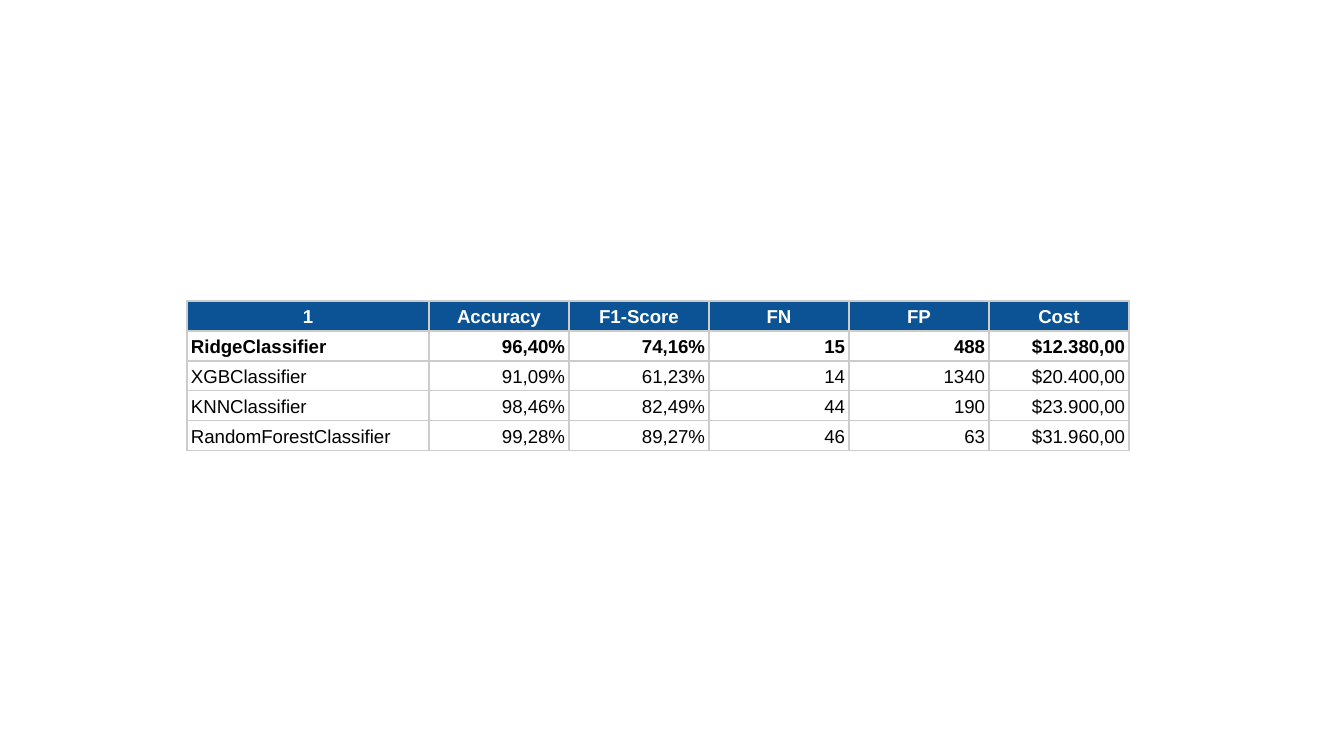
"""Build a slide with a table comparing classifier scores and costs."""
from dataclasses import dataclass

from lxml.etree import SubElement
from pptx import Presentation
from pptx.dml.color import RGBColor
from pptx.enum.text import MSO_ANCHOR, PP_ALIGN
from pptx.oxml.ns import qn
from pptx.table import Table, _Cell
from pptx.util import Emu, Pt

SCALE = 6804
FONT = "Arial"
WHITE = RGBColor(0xFF, 0xFF, 0xFF)
BLACK = RGBColor(0x00, 0x00, 0x00)
BLUE = RGBColor(0x0B, 0x53, 0x94)
GRAY = RGBColor(0xCC, 0xCC, 0xCC)

TABLE_LEFT, TABLE_TOP = 187, 301
NAME_WIDTH, SCORE_WIDTH, ROW_HEIGHT = 242, 140, 29
INSET_X, INSET_Y = 4, 3
HEADINGS = ("1", "Accuracy", "F1-Score", "FN", "FP", "Cost")


@dataclass(frozen=True)
class Model:
    """Scores of one classifier."""

    name: str
    scores: tuple[str, ...]
    best: bool = False


MODELS = (
    Model("RidgeClassifier", ("96,40%", "74,16%", "15", "488", "$12.380,00"), best=True),
    Model("XGBClassifier", ("91,09%", "61,23%", "14", "1340", "$20.400,00")),
    Model("KNNClassifier", ("98,46%", "82,49%", "44", "190", "$23.900,00")),
    Model("RandomForestClassifier", ("99,28%", "89,27%", "46", "63", "$31.960,00")),
)


def px(length: int) -> Emu:
    """Turn pixels into EMU."""
    return Emu(length * SCALE)


def draw_borders(cell: _Cell) -> None:
    """Give all four sides of a cell a thin gray line."""
    properties = cell._tc.get_or_add_tcPr()
    for side in ("lnL", "lnR", "lnT", "lnB"):
        line = SubElement(properties, qn(f"a:{side}"), w=str(Pt(0.75)))
        fill = SubElement(line, qn("a:solidFill"))
        SubElement(fill, qn("a:srgbClr"), val=str(GRAY))


def write_cell(
    cell: _Cell,
    text: str,
    *,
    align: PP_ALIGN,
    color: RGBColor = BLACK,
    bold: bool = False,
    fill: RGBColor | None = None,
) -> None:
    """Write formatted text into a bordered cell."""
    draw_borders(cell)
    if fill is None:
        cell.fill.background()
    else:
        cell.fill.solid()
        cell.fill.fore_color.rgb = fill
    cell.vertical_anchor = MSO_ANCHOR.BOTTOM
    cell.margin_left = cell.margin_right = px(INSET_X)
    cell.margin_top = cell.margin_bottom = px(INSET_Y)
    para = cell.text_frame.paragraphs[0]
    para.alignment = align
    para.line_spacing = 1.15
    span = para.add_run()
    span.text = text
    span.font.name = FONT
    span.font.size = Pt(10)
    span.font.bold = bold
    span.font.color.rgb = color


def write_model(table: Table, row: int, model: Model) -> None:
    """Write the name and scores of a classifier into a row."""
    write_cell(table.cell(row, 0), model.name, align=PP_ALIGN.LEFT, bold=model.best)
    for column, score in enumerate(model.scores, start=1):
        write_cell(table.cell(row, column), score, align=PP_ALIGN.RIGHT, bold=model.best)


def main() -> None:
    """Build and save the deck."""
    deck = Presentation()
    deck.slide_width, deck.slide_height = px(1344), px(756)
    page = deck.slides.add_slide(deck.slide_layouts[6])

    widths = [NAME_WIDTH] + [SCORE_WIDTH] * (len(HEADINGS) - 1)
    row_count = len(MODELS) + 1
    table = page.shapes.add_table(
        row_count, len(widths), px(TABLE_LEFT), px(TABLE_TOP),
        px(sum(widths)), px(ROW_HEIGHT * row_count),
    ).table
    table.first_row = table.horz_banding = False
    for column, width in zip(table.columns, widths):
        column.width = px(width)

    for column, heading in enumerate(HEADINGS):
        write_cell(table.cell(0, column), heading, align=PP_ALIGN.CENTER,
                   color=WHITE, bold=True, fill=BLUE)
    for row, model in enumerate(MODELS, start=1):
        write_model(table, row, model)

    deck.save("out.pptx")


if __name__ == "__main__":
    main()
